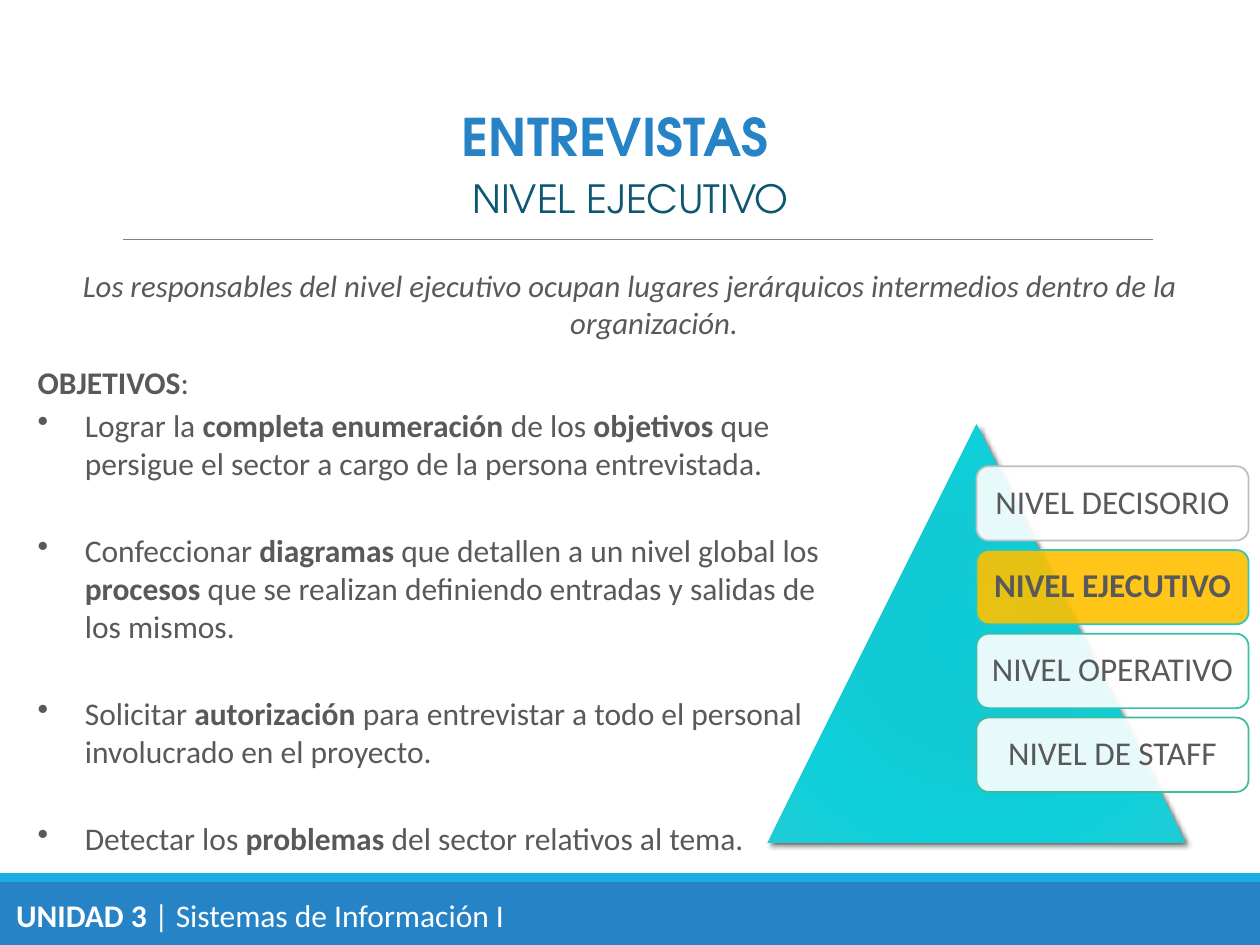
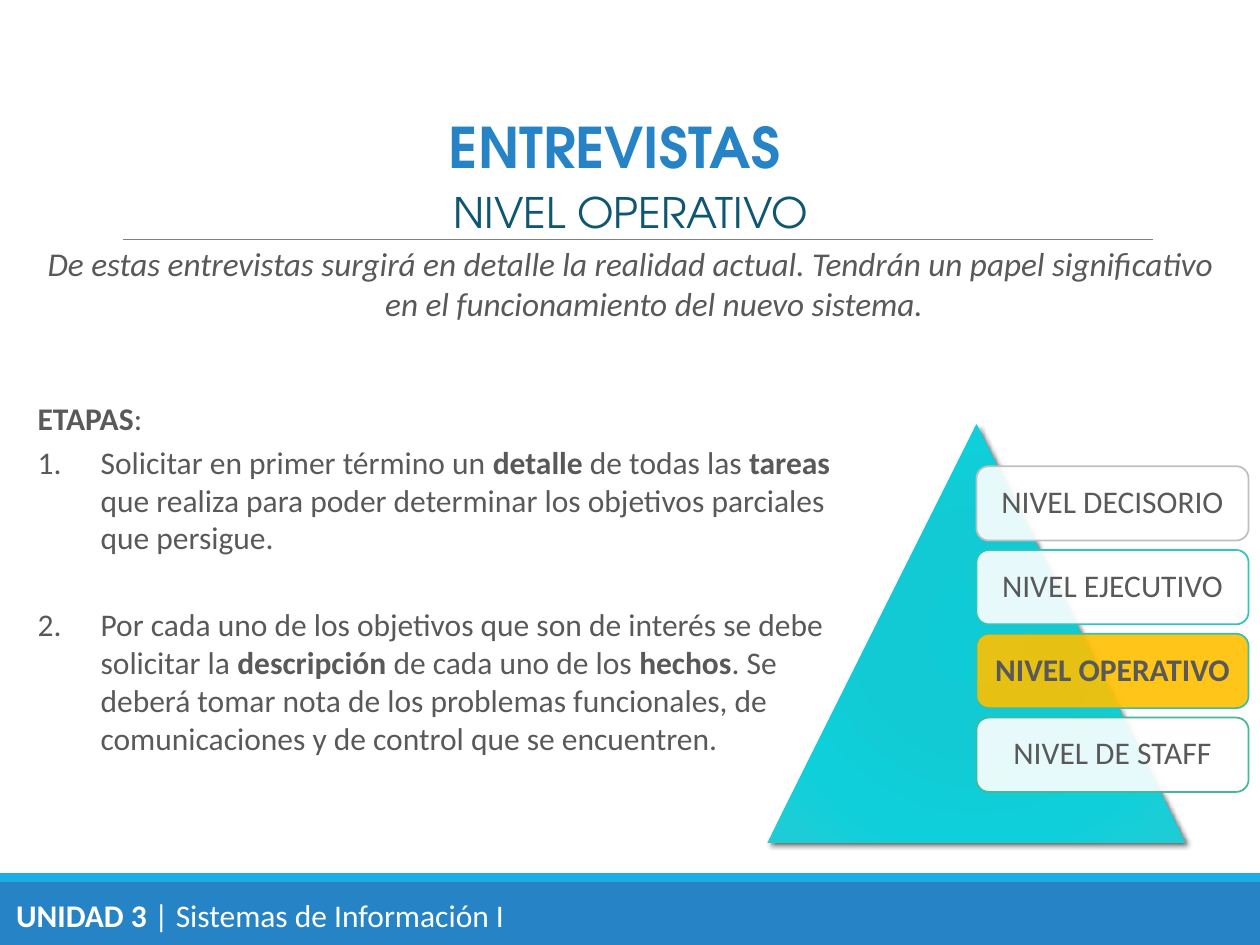
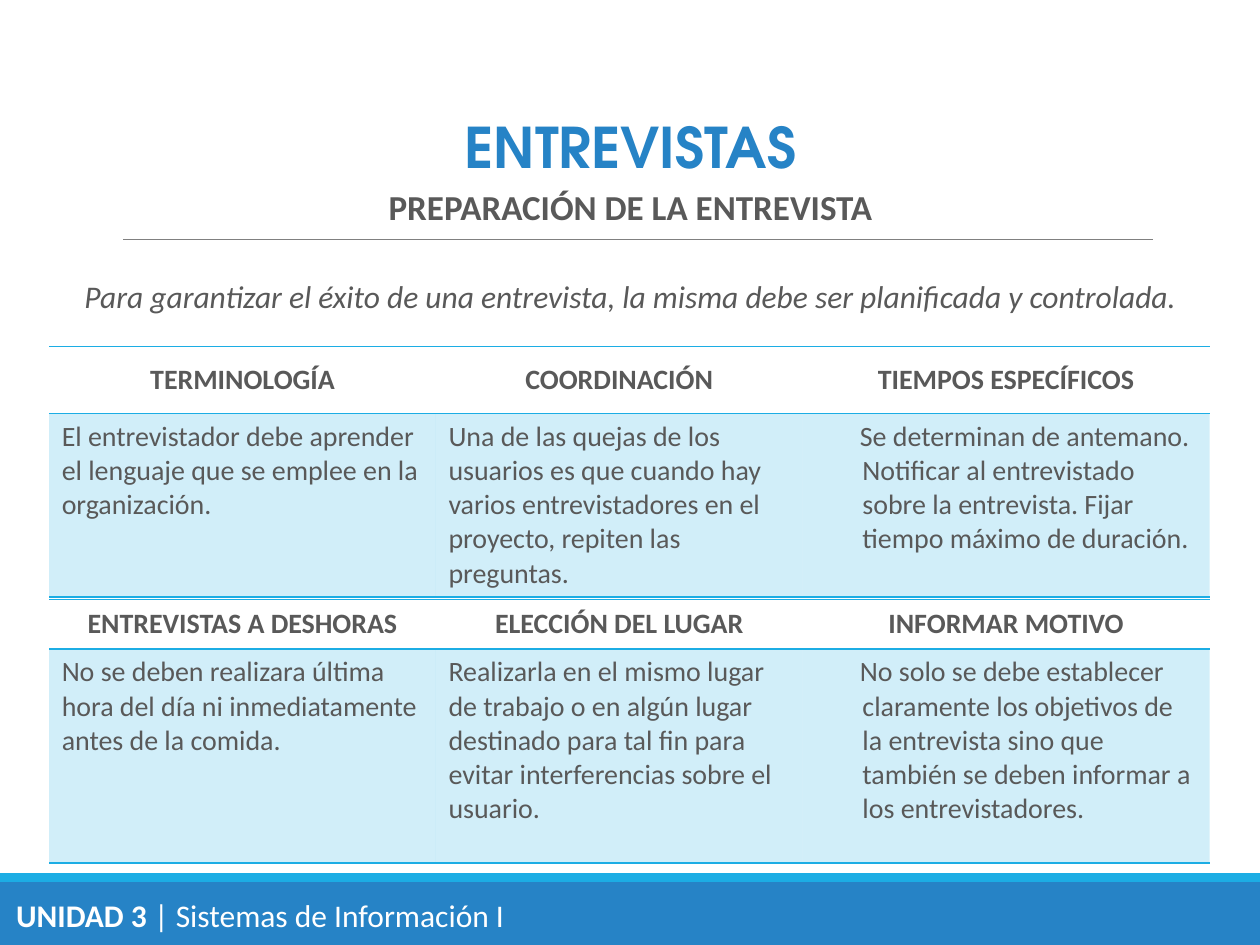
from dataclasses import dataclass

from lxml import etree
from pptx import Presentation
from pptx.dml.color import RGBColor
from pptx.enum.shapes import MSO_CONNECTOR, MSO_SHAPE
from pptx.enum.text import MSO_ANCHOR, PP_ALIGN
from pptx.oxml import parse_xml
from pptx.oxml.ns import nsdecls, qn
from pptx.util import Emu, Inches, Pt

RECT, ROUND, PEAK = MSO_SHAPE.RECTANGLE, MSO_SHAPE.ROUNDED_RECTANGLE, MSO_SHAPE.ISOSCELES_TRIANGLE
STRAIGHT = MSO_CONNECTOR.STRAIGHT
LEFT, CENTER = PP_ALIGN.LEFT, PP_ALIGN.CENTER
TOP, MIDDLE = MSO_ANCHOR.TOP, MSO_ANCHOR.MIDDLE

WIDTH, HEIGHT = Inches(10), Inches(7.5)
UNIT = WIDTH // 100  # one column of a 100 x 75 square grid
BODY, HEAD = "Calibri", "TeX Gyre Adventor"
HANG = 3.75
COLORS = {
    "blue": "2683C6", "sky": "1CADE4", "teal": "0E5772", "gray": "595959",
    "rule": "808080", "white": "FFFFFF", "gold": "FFC000", "shade": "000000",
}
GLOW = ((0, "0ECBD5"), (34, "12CAD3"), (70, "0FD0DA"), (100, "20CBD4"))


@dataclass(frozen=True)
class Para:
    """A paragraph; **marks** enclose bold words, lengths are grid units."""
    text: str
    size: float = 18
    color: str = "gray"
    font: str = BODY
    italic: bool = False
    align: PP_ALIGN = LEFT
    before: float = 0
    lead: float = 1
    margin: float = 0
    first: float = 0
    right: float = 0
    bullet: str = ""


@dataclass(frozen=True)
class Box:
    x: float
    y: float
    w: float
    h: float

    def emu(self) -> list[Emu]:
        return [unit(n) for n in (self.x, self.y, self.w, self.h)]


@dataclass(frozen=True)
class Level:
    name: str
    edge: str


@dataclass(frozen=True)
class Grid:
    top: float
    rows: tuple[float, float]
    heads: tuple[str, ...]
    texts: tuple[str, ...]


LEVELS = (
    Level("NIVEL DECISORIO", "BFBFBF"), Level("NIVEL EJECUTIVO", "30C6BC"),
    Level("NIVEL OPERATIVO", "39C0A8"), Level("NIVEL DE STAFF", "42BA97"),
)

GOALS = (
    "Lograr la **completa enumeración **de los **objetivos** que persigue el sector a cargo "
    "de la persona entrevistada.",
    "Confeccionar **diagramas** que detallen a un nivel global los **procesos** que se "
    "realizan definiendo entradas y salidas de los mismos.",
    "Solicitar **autorización** para entrevistar a todo el personal involucrado en el proyecto.",
    "Detectar los **problemas** del sector relativos al tema.",
)

STEPS = (
    "Solicitar en primer término un **detalle** de todas las **tareas** que realiza para poder "
    "determinar los objetivos parciales que persigue.",
    "Por cada uno de los objetivos que son de interés se debe solicitar la **descripción** de "
    "cada uno de los **hechos**. Se deberá tomar nota de los problemas funcionales, de "
    "comunicaciones y de control que se encuentren.",
)

COLS = (30.7, 29.1, 32.3)
GRIDS = (
    Grid(27.5, (5.3, 14.6),
         ("TERMINOLOGÍA", "COORDINACIÓN", "TIEMPOS ESPECÍFICOS"),
         ("El entrevistador debe aprender el lenguaje que se emplee en la organización.",
          "Una de las quejas de los usuarios es que cuando hay varios entrevistadores en el "
          "proyecto, repiten las preguntas.",
          "Se determinan de antemano. Notificar al entrevistado sobre la entrevista. Fijar "
          "tiempo máximo de duración.")),
    Grid(47.6, (3.9, 17),
         ("ENTREVISTAS A DESHORAS", "ELECCIÓN DEL LUGAR", "INFORMAR MOTIVO"),
         ("No se deben realizara última hora del día ni inmediatamente antes de la comida.",
          "Realizarla en el mismo lugar de trabajo o en algún lugar destinado para tal fin para "
          "evitar interferencias sobre el usuario.",
          "No solo se debe establecer claramente los objetivos de la entrevista sino que "
          "también se deben informar a los entrevistadores.")),
)


def unit(n: float) -> Emu:
    return Emu(round(n * UNIT))


def rgb(name: str) -> RGBColor:
    return RGBColor.from_string(COLORS.get(name, name))


def fade(node, share: int) -> None:
    """Make the first solid colour under node share percent opaque."""
    tint = node.find(".//" + qn("a:srgbClr"))
    etree.SubElement(tint, qn("a:alpha")).set("val", str(share * 1000))


def write(frame, paras: list[Para]) -> None:
    for i, item in enumerate(paras):
        para = frame.paragraphs[0] if i == 0 else frame.add_paragraph()
        para.alignment = item.align
        para.line_spacing = item.lead
        if i:
            para.space_before = Pt(item.before)
        props = para._p.get_or_add_pPr()
        props.set("marL", str(unit(item.margin)))
        props.set("indent", str(unit(item.first)))
        props.set("marR", str(unit(item.right)))
        if item.bullet == "1.":
            etree.SubElement(props, qn("a:buAutoNum")).set("type", "arabicPeriod")
        elif item.bullet:
            etree.SubElement(props, qn("a:buChar")).set("char", item.bullet)
        for j, part in enumerate(item.text.split("**")):
            if not part:
                continue
            run = para.add_run()
            run.text = part
            font = run.font
            font.name, font.size = item.font, Pt(item.size)
            font.bold, font.italic = j % 2 == 1, item.italic
            font.color.rgb = rgb(item.color)


def label(slide, box: Box, paras: list[Para], wrap: bool = True) -> None:
    frame = slide.shapes.add_textbox(*box.emu()).text_frame
    frame.word_wrap = wrap
    write(frame, paras)


def shape(slide, kind: MSO_SHAPE, box: Box, fill: str, edge: str = ""):
    item = slide.shapes.add_shape(kind, *box.emu())
    item.shadow.inherit = False
    item.fill.solid()
    item.fill.fore_color.rgb = rgb(fill)
    if edge:
        item.line.color.rgb = rgb(edge)
        item.line.width = Pt(1)
    else:
        item.line.fill.background()
    return item


def base(deck):
    """Add a slide with the footer bands, the title rule and the course name."""
    slide = deck.slides.add_slide(deck.slide_layouts[6])
    shape(slide, RECT, Box(0, 70, 100, 5), "blue")
    shape(slide, RECT, Box(0, 69.3, 100, 0.7), "sky")
    rule = slide.shapes.add_connector(STRAIGHT, unit(9.8), unit(19), unit(91.5), unit(19))
    rule.line.color.rgb = rgb("rule")
    rule.line.width = Pt(0.5)
    etree.SubElement(rule.element.spPr, qn("a:effectLst"))
    label(slide, Box(0.3, 70.6, 41.2, 4),
          [Para("**UNIDAD 3 **| Sistemas de Información I", color="white")], wrap=False)
    return slide


def title(slide, tall: float, size: float, sub: Para, lead: Para,
          tight: float = 1, right: float = 0) -> None:
    """Write heading, subtitle and lead sentence in one centred box."""
    head = Para("**ENTREVISTAS**", size, "blue", HEAD, align=CENTER, lead=tight,
                margin=HANG, first=-HANG, right=right)
    label(slide, Box(2, 8.4, 96.1, tall), [head, sub, lead])


def center(text: str, size: float, before: float, color: str = "gray",
           font: str = BODY, italic: bool = False) -> Para:
    return Para(text, size, color, font, italic, CENTER, before, margin=HANG, first=-HANG)


def listing(slide, box: Box, head: str, items: tuple[str, ...], mark: str, hang: float) -> None:
    paras = [Para(f"**{head}**:")]
    for i, text in enumerate(items):
        paras.append(Para(text, before=28.2 if i else 3.2, margin=hang, first=-hang, bullet=mark))
    label(slide, box, paras)


def pyramid(slide, active: str, size: float) -> None:
    """Draw the triangle and its levels, with the active one in gold."""
    peak = shape(slide, PEAK, Box(60.9, 33.7, 33.2, 33.2), "sky")
    props = peak.element.spPr
    stops = "".join(f'<a:gs pos="{pos * 1000}"><a:srgbClr val="{tint}"/></a:gs>'
                    for pos, tint in GLOW)
    props.replace(props.find(qn("a:solidFill")), parse_xml(
        f'<a:gradFill {nsdecls("a")}><a:gsLst>{stops}</a:gsLst><a:path path="circle">'
        '<a:fillToRect l="100000" t="100000" r="100000" b="100000"/></a:path></a:gradFill>'))
    props.find(qn("a:effectLst")).append(parse_xml(
        f'<a:outerShdw {nsdecls("a")} blurRad="{Pt(3)}" dist="{Pt(2)}" dir="2700000">'
        f'<a:srgbClr val="{COLORS["shade"]}"><a:alpha val="60000"/></a:srgbClr></a:outerShdw>'))
    for i, level in enumerate(LEVELS):
        chosen = level.name == active
        item = shape(slide, ROUND, Box(77.5, 37 + 6.65 * i, 21.6, 5.9),
                     "gold" if chosen else "white", level.edge)
        fade(item.element.spPr, 90)
        frame = item.text_frame
        frame.word_wrap = True
        frame.vertical_anchor = MIDDLE
        frame.margin_left = frame.margin_right = unit(0.75)
        frame.margin_top = frame.margin_bottom = unit(0.75)
        name = f"**{level.name}**" if chosen else level.name
        write(frame, [Para(name, size, align=CENTER, lead=0.9)])


def border(cell) -> None:
    """Rule the cell above and below, and leave its sides open."""
    props = cell._tc.get_or_add_tcPr()
    solid = f'<a:solidFill><a:srgbClr val="{COLORS["sky"]}"/></a:solidFill>'
    for i, side in enumerate("LRTB"):
        paint = solid if side in "TB" else "<a:noFill/>"
        props.insert(i, parse_xml(
            f'<a:ln{side} {nsdecls("a")} w="{Pt(1)}">{paint}</a:ln{side}>'))


def table(slide, grid: Grid) -> None:
    box = Box(3.9, grid.top, sum(COLS), sum(grid.rows))
    tab = slide.shapes.add_table(2, len(COLS), *box.emu()).table
    tab.first_row = tab.horz_banding = False
    for row, tall in zip(tab.rows, grid.rows):
        row.height = unit(tall)
    for i, wide in enumerate(COLS):
        tab.columns[i].width = unit(wide)
        head, cell = tab.cell(0, i), tab.cell(1, i)
        head.fill.background()
        head.vertical_anchor = MIDDLE
        write(head.text_frame, [Para(f"**{grid.heads[i]}**", 16, align=CENTER)])
        cell.fill.solid()
        cell.fill.fore_color.rgb = rgb("sky")
        fade(cell._tc, 20)
        cell.vertical_anchor = TOP
        last = i == len(COLS) - 1
        write(cell.text_frame, [Para(grid.texts[i], 16, margin=HANG if last else 0,
                                     first=-0.2 if last else 0)])
        border(head)
        border(cell)


def main() -> None:
    deck = Presentation()
    deck.slide_width, deck.slide_height = WIDTH, HEIGHT

    slide = base(deck)
    title(slide, 19.3, 29.6, center("NIVEL EJECUTIVO", 22.2, 4, "teal", HEAD),
          center("Los responsables del nivel ejecutivo ocupan lugares jerárquicos intermedios "
                 "dentro de la organización.", 17.6, 25.7, italic=True), tight=0.9, right=2.4)
    pyramid(slide, "NIVEL EJECUTIVO", 19)
    listing(slide, Box(2, 28.3, 65.9, 44.6), "OBJETIVOS", GOALS, "•", HANG)

    slide = base(deck)
    title(slide, 22.8, 32, center("NIVEL OPERATIVO", 24, 4.3, "teal", HEAD),
          center("De estas entrevistas surgirá en detalle la realidad actual. Tendrán un papel "
                 "significativo en el funcionamiento del nuevo sistema.", 19, 3.4, italic=True),
          right=2.5)
    pyramid(slide, "NIVEL OPERATIVO", 18)
    listing(slide, Box(2, 31.2, 65.9, 33.1), "ETAPAS", STEPS, "1.", 5)

    slide = base(deck)
    title(slide, 64.6, 32, center("**PREPARACIÓN DE LA ENTREVISTA**", 20, 3.6),
          center("Para garantizar el éxito de una entrevista, la misma debe ser planificada y "
                 "controlada.", 18, 28.4, italic=True))
    for grid in GRIDS:
        table(slide, grid)

    deck.save("out.pptx")


if __name__ == "__main__":
    main()
